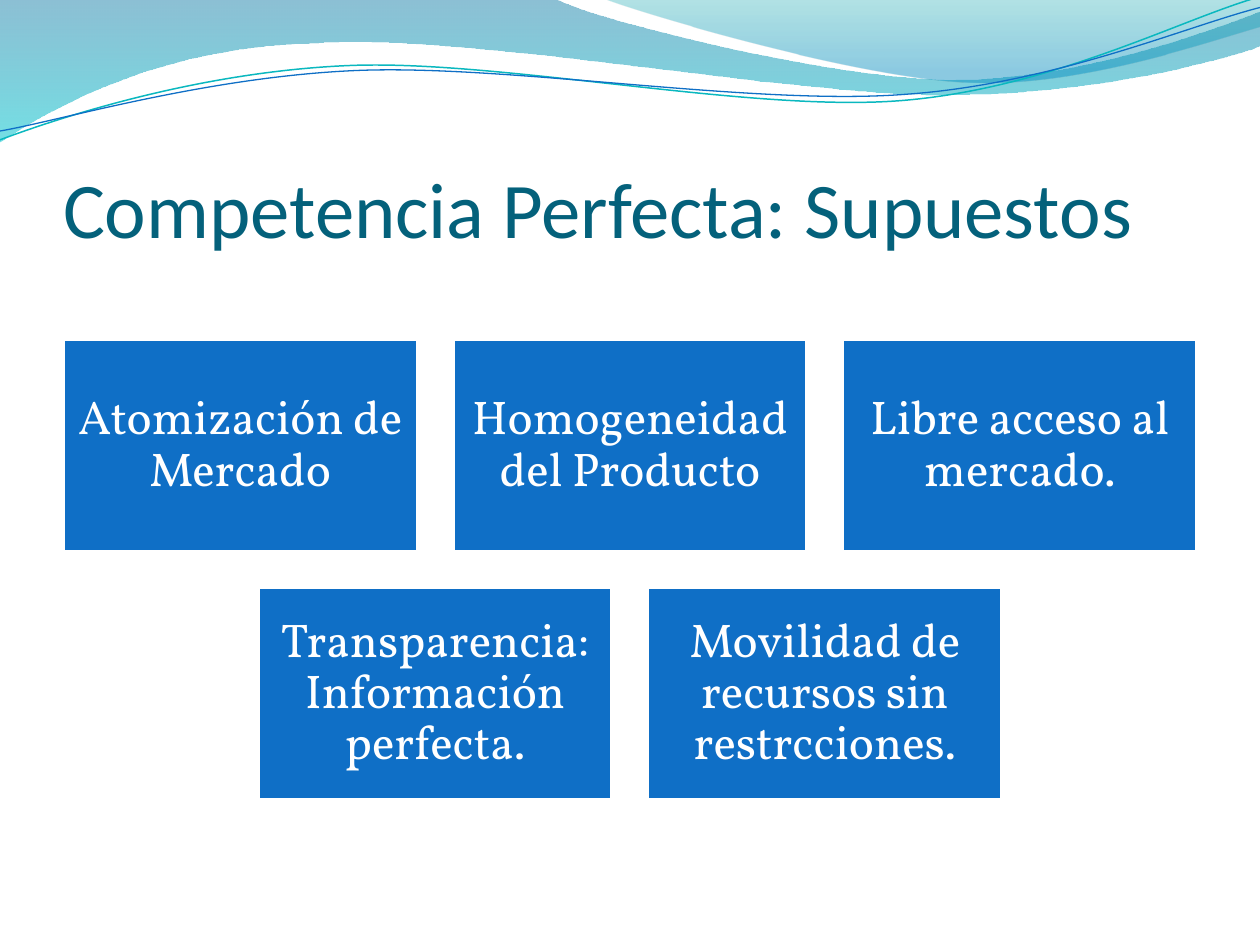
from math import cos, radians, sin
from lxml.etree import SubElement
from pptx import Presentation
from pptx.dml.color import RGBColor as RGB
from pptx.enum.shapes import MSO_SHAPE as Shape
from pptx.enum.text import MSO_ANCHOR as Anchor, MSO_AUTO_SIZE as Auto, PP_ALIGN as Align
from pptx.oxml.ns import qn
from pptx.util import Inches, Pt

WIDE, HIGH = 10, 7.5
TILT = -2.7
HEX = {"white": "FFFFFF", "blue": "0F6FC6", "aqua": "0AB8BF", "title": "04617B",
       "deep": "0074A1", "cyan": "00C6CF", "teal": "00A1A9", "sky": "008BBF"}
ROWS = [
    ["Atomización de Mercado", "Homogeneidad del Producto", "Libre acceso al mercado."],
    ["Transparencia: Información perfecta.", "Movilidad de recursos sin restrcciones."],
]
# A wave is a start point, then lines (one point) and curves (three points).
BANDS = [
    ([[(0, 0)], [(4.4, -.01)],
      [(4.76, .17), (6.64, .63), (7.58, .63)],
      [(8.53, .63), (9.58, .26), (10, .09)], [(10.01, .36)],
      [(9.83, .44), (8.7, .76), (7.46, .75)],
      [(6.22, .75), (3.82, .28), (2.57, .34)],
      [(1.29, .36), (.46, .83), (-.01, 1.13)]],
     [(0, "deep", 45), (1, "cyan", 55)]),
    ([[(4.79, -.01)], [(5.09, .11), (6.82, .62), (7.69, .65)],
      [(8.56, .69), (9.61, .32), (10, .21)], [(10, 0)]],
     [(0, "teal", 30), (.8, "sky", 45)]),
]
# Each line also has the centre it is tilted about.
LINES = [
    ([[(0, 1.11)], [(.48, .93), (1.58, .57), (2.77, .52)],
      [(3.95, .47), (5.93, .89), (7.13, .8)],
      [(8.33, .71), (9.38, .15), (9.98, -.02)]], (4.99, .57), "aqua", .85),
    ([[(0, 1.04)], [(.47, .96), (1.64, .61), (2.83, .56)],
      [(4.03, .51), (5.97, .84), (7.17, .75)],
      [(8.36, .67), (9.41, .21), (10, .06)]], (5, .59), "blue", .75),
]


def color(name):
    return RGB.from_string(HEX[name])


def write(shape, text, font, size, ink, align, anchor, pad, line=None, after=None):
    frame = shape.text_frame
    frame.word_wrap = True
    frame.auto_size = Auto.NONE
    frame.vertical_anchor = anchor
    (frame.margin_left, frame.margin_top,
     frame.margin_right, frame.margin_bottom) = map(Inches, pad)
    para = frame.paragraphs[0]
    para.text = text
    para.alignment = align
    para.line_spacing = line
    para.space_after = after
    para.font.name, para.font.size = font, Pt(size)
    para.font.color.rgb = color(ink)


def level(wave, mid):
    """Undo the tilt of a wave, so that the shape can carry it as rotation."""
    turn = radians(-TILT)

    def spin(x, y):
        x, y = x - mid[0], y - mid[1]
        return (mid[0] + x * cos(turn) - y * sin(turn),
                mid[1] + x * sin(turn) + y * cos(turn))
    return [[spin(*dot) for dot in part] for part in wave]


def bend(shape, wave):
    """Join each run of three line points into one Bézier curve."""
    track = next(shape.element.iter(qn("a:path")))
    legs = iter(track.findall(qn("a:lnTo")))
    for part in wave[1:]:
        group = [next(legs) for _ in part]
        if len(part) == 3:
            curve = SubElement(track, qn("a:cubicBezTo"))
            group[0].addprevious(curve)
            for leg in group:
                curve.append(leg[0])
                track.remove(leg)


def draw(slide, box, wave, close):
    left, top, width = box
    unit = width / 10
    dots = [(Inches(left + x * unit), Inches(top + y * unit))
            for part in wave for x, y in part]
    pen = slide.shapes.build_freeform(*dots[0])
    pen.add_line_segments(dots[1:], close=close)
    shape = pen.convert_to_shape()
    shape.shadow.inherit = False
    bend(shape, wave)
    return shape


def shade(shape, stops):
    """Fill from top to bottom with see-through colours."""
    shape.line.fill.background()
    shape.fill.gradient()
    shape.fill.gradient_angle = 270
    for stop, (place, name, _) in zip(shape.fill.gradient_stops, stops):
        stop.position = place
        stop.color.rgb = color(name)
    tones = shape.element.spPr.iter(qn("a:srgbClr"))
    for tone, (_, _, alpha) in zip(list(tones), stops):
        SubElement(tone, qn("a:alpha")).set("val", str(alpha * 1000))


def add_waves(slide, box):
    for wave, stops in BANDS:
        shade(draw(slide, box, wave, True), stops)
    for wave, mid, name, weight in LINES:
        shape = draw(slide, box, level(wave, mid), False)
        shape.rotation = TILT
        shape.fill.background()
        shape.line.color.rgb = color(name)
        shape.line.width = Pt(weight)


def add_title(slide, box, text):
    title = slide.shapes.title
    title.left, title.top, title.width, title.height = map(Inches, box)
    write(title, text, font="Calibri", size=45, ink="title", align=Align.LEFT,
          anchor=Anchor.BOTTOM, pad=(0, .05, 0, 0))


def add_tiles(slide, box, rows):
    """Centre each row of tiles; gaps are a tenth of a tile's width."""
    left, top, width = box
    most = max(map(len, rows))
    wide = width / (most + .1 * (most - 1))
    high, gap = .6 * wide, .1 * wide
    for r, row in enumerate(rows):
        start = left + (most - len(row)) * (wide + gap) / 2
        for c, text in enumerate(row):
            place = (start + c * (wide + gap), top + r * (high + gap), wide, high)
            tile = slide.shapes.add_shape(Shape.RECTANGLE, *map(Inches, place))
            tile.shadow.inherit = False
            tile.fill.solid()
            tile.fill.fore_color.rgb = color("blue")
            tile.line.color.rgb = color("white")
            tile.line.width = Pt(2)
            write(tile, text, font="Vollkorn", size=27, ink="white",
                  align=Align.CENTER, anchor=Anchor.MIDDLE, pad=[.11] * 4,
                  line=.9, after=Pt(9.45))


def main():
    deck = Presentation()
    deck.slide_width, deck.slide_height = Inches(WIDE), Inches(HIGH)
    slide = deck.slides.add_slide(deck.slide_layouts[5])
    edge, span = .05 * WIDE, .9 * WIDE
    add_waves(slide, (0, 0, WIDE))
    add_title(slide, (edge, .1 * HIGH + .02, span, HIGH / 6),
              "Competencia Perfecta: Supuestos")
    add_tiles(slide, (edge, .36 * HIGH - .01, span), ROWS)
    deck.save("out.pptx")


if __name__ == "__main__":
    main()
